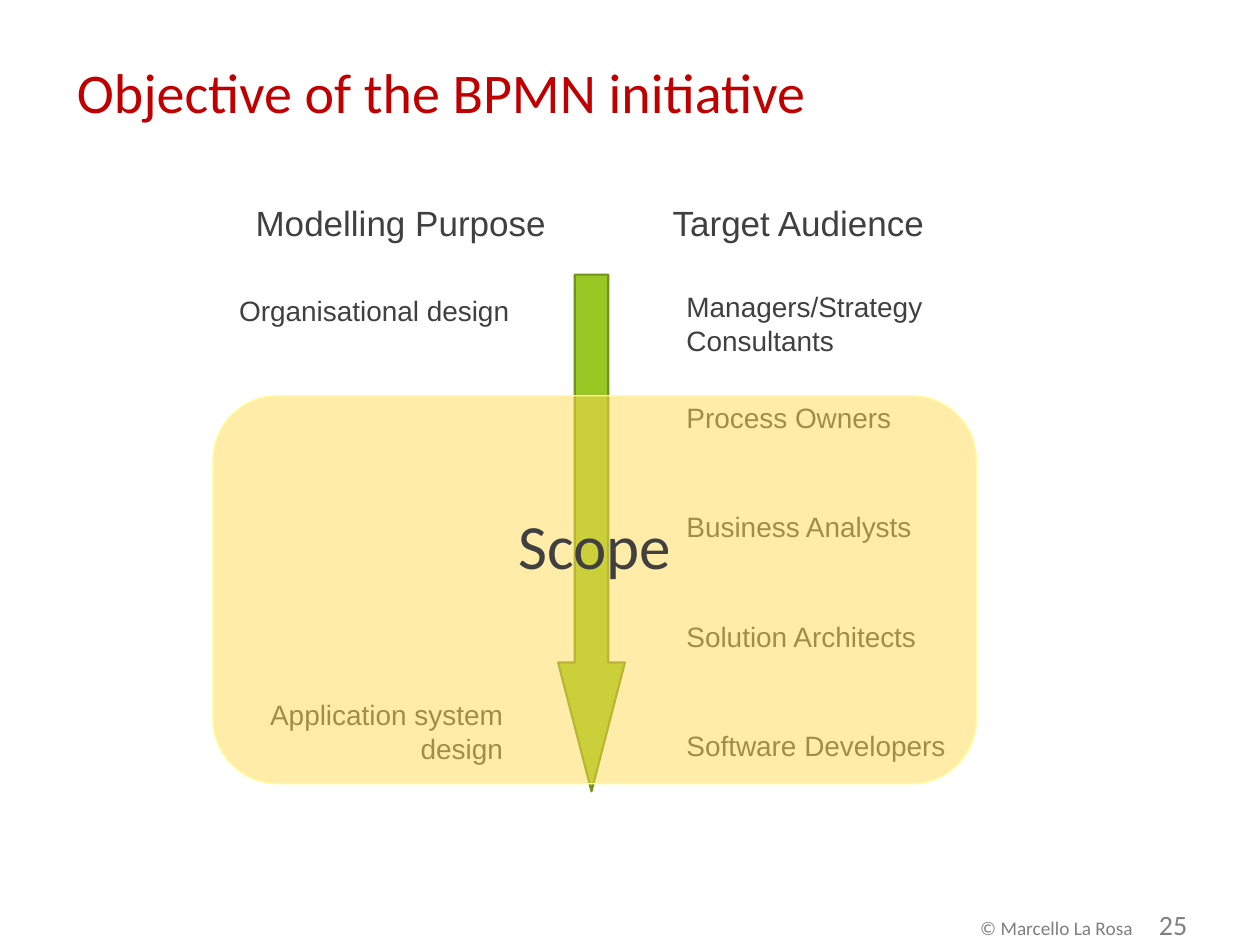
from dataclasses import dataclass

from lxml.etree import SubElement
from pptx import Presentation
from pptx.dml.color import RGBColor
from pptx.enum.shapes import MSO_SHAPE as Preset
from pptx.enum.text import MSO_ANCHOR as Anchor, PP_ALIGN as Align
from pptx.oxml.ns import qn
from pptx.util import Inches, Pt


@dataclass(frozen=True)
class Theme:
    title: str = "C00000"
    text: str = "404040"
    copyright: str = "7F7F7F"
    number: str = "808080"
    arrow: str = "98C723"
    arrow_line: str = "70931A"
    scope: str = "FFDA52"
    scope_line: str = "FFFF99"
    heading_font: str = "Calibri"
    label_font: str = "Arial"
    title_size: int = 32
    scope_size: int = 36
    heading_size: int = 20
    label_size: int = 16
    copyright_size: int = 11


THEME = Theme()
PURPOSE_LEFT, AUDIENCE_LEFT, COLUMN_WIDTH = 1.7, 5.35, 2.44
LINE_HEIGHT = 0.37
ROLE_TOP, ROLE_STEP = 3.13, 0.867
ROLES = ["Process Owners", "Business Analysts", "Solution Architects", "Software Developers"]


def write(shape, text, size=THEME.label_size, color=THEME.text, font=THEME.label_font,
          align=Align.LEFT, anchor=Anchor.TOP, wrap=True, tab=None):
    """Fill a shape with one formatted paragraph; tab is a left tab stop in inches."""
    frame = shape.text_frame
    frame.word_wrap = wrap
    frame.vertical_anchor = anchor
    paragraph = frame.paragraphs[0]
    paragraph.text = text
    paragraph.alignment = align
    if tab is not None:
        tabs = SubElement(paragraph._p.get_or_add_pPr(), qn("a:tabLst"))
        SubElement(tabs, qn("a:tab"), pos=str(Inches(tab)), algn="l")
    paragraph.font.size = Pt(size)
    paragraph.font.name = font
    paragraph.font.color.rgb = RGBColor.from_string(color)


def place(shape, *box):
    shape.left, shape.top, shape.width, shape.height = map(Inches, box)


def add_text(slide, text, left, top, width, height=LINE_HEIGHT, **text_format):
    box = slide.shapes.add_textbox(*map(Inches, (left, top, width, height)))
    write(box, text, **text_format)


def add_preset(slide, preset, box, fill, line, line_width, adjustments, opacity=None):
    """Add a preset shape; opacity is a percentage."""
    shape = slide.shapes.add_shape(preset, *map(Inches, box))
    shape.shadow.inherit = False
    shape.fill.solid()
    shape.fill.fore_color.rgb = RGBColor.from_string(fill)
    shape.line.color.rgb = RGBColor.from_string(line)
    shape.line.width = Pt(line_width)
    for index, value in enumerate(adjustments):
        shape.adjustments[index] = value
    if opacity is not None:
        color = shape._element.spPr.find(qn("a:solidFill"))[0]
        SubElement(color, qn("a:alpha"), val=str(opacity * 1000))
    return shape


def add_title(slide, text):
    title = slide.shapes.title
    place(title, 0.51, 0.29, 8.82, 0.87)
    write(title, text, size=THEME.title_size, color=THEME.title,
          font=THEME.heading_font, anchor=Anchor.MIDDLE)


def add_purposes(slide):
    add_text(slide, "Organisational design", PURPOSE_LEFT, 2.28, COLUMN_WIDTH,
             align=Align.RIGHT)
    add_text(slide, "Application system design", PURPOSE_LEFT - 0.05, 5.49, COLUMN_WIDTH,
             0.64, align=Align.RIGHT)


def add_audiences(slide):
    add_text(slide, "Managers/Strategy Consultants", AUDIENCE_LEFT, 2.25, COLUMN_WIDTH, 0.64)
    for row, role in enumerate(ROLES):
        add_text(slide, role, AUDIENCE_LEFT, ROLE_TOP + row * ROLE_STEP, COLUMN_WIDTH)


def add_scope(slide):
    scope = add_preset(slide, Preset.ROUNDED_RECTANGLE, (1.69, 3.14, 6.06, 3.08),
                       THEME.scope, THEME.scope_line, 0.75, [0.167], opacity=50)
    write(scope, "Scope", size=THEME.scope_size, font=THEME.heading_font,
          align=Align.CENTER, anchor=Anchor.MIDDLE, wrap=False)
    scope.text_frame.margin_bottom = Inches(0.77)


def add_footer(slide):
    add_text(slide, "© Marcello La Rosa", 7.68, 7.22, 1.42, 0.29, size=THEME.copyright_size,
             color=THEME.copyright, font=THEME.heading_font, wrap=False)
    add_text(slide, "25", 9.02, 7.25, 0.58, 0.17, color=THEME.number,
             font=THEME.heading_font, align=Align.CENTER, anchor=Anchor.MIDDLE)


def main():
    presentation = Presentation()
    presentation.slide_width, presentation.slide_height = Inches(10), Inches(7.5)
    slide = presentation.slides.add_slide(presentation.slide_layouts[5])
    add_title(slide, "Objective of the BPMN initiative")
    add_purposes(slide)
    add_preset(slide, Preset.DOWN_ARROW, (4.43, 2.18, 0.53, 4.1),
               THEME.arrow, THEME.arrow_line, 1.25, [0.5, 1.927])
    add_text(slide, "Modelling Purpose\tTarget Audience", 1.93, 1.55, 5.59, 0.43,
             size=THEME.heading_size, tab=3.31)
    add_audiences(slide)
    add_scope(slide)
    add_footer(slide)
    presentation.save("out.pptx")


if __name__ == "__main__":
    main()
